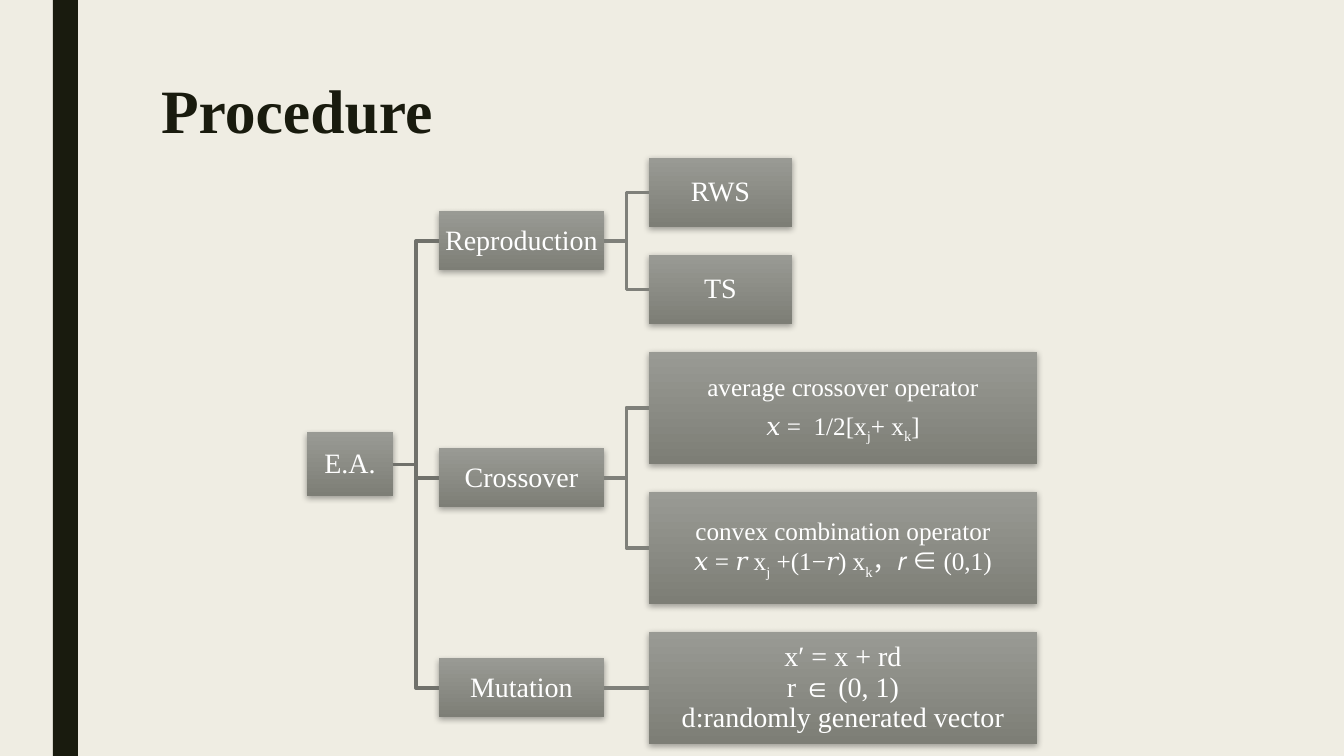
"""Build the Procedure slide: a tree of evolutionary algorithm operators."""
from dataclasses import dataclass

from lxml.etree import SubElement
from pptx import Presentation
from pptx.dml.color import RGBColor as RGB
from pptx.enum.shapes import MSO_CONNECTOR as CONN, MSO_SHAPE as SHAPE
from pptx.enum.text import MSO_ANCHOR as ANCHOR, MSO_AUTO_SIZE as AUTO, PP_ALIGN as ALIGN
from pptx.oxml.ns import qn
from pptx.shapes.autoshape import Shape
from pptx.slide import Slide
from pptx.text.text import Font, TextFrame
from pptx.util import Emu, Pt

SLIDE_W, SLIDE_H = 1344, 756
SCALE = 12192000 / SLIDE_W
TREE_TOP, LEAF_GAP = 158, 28
COLUMN_LEFTS = (307, 439, 649)
RIGHT_SITE, LEFT_SITE = 3, 1


@dataclass(frozen=True)
class Theme:
    font: str = "Times New Roman"
    background: str = "EFEDE3"
    ink: str = "191B0E"
    text: str = "FFFFFF"
    box_top: str = "999A94"
    box_bottom: str = "7D7E76"
    links: tuple[str, ...] = ("70716B", "7F807A")
    link_width: float = 2.75
    title_size: int = 44
    node_size: int = 20
    formula_size: int = 18


@dataclass(frozen=True)
class Node:
    text: str
    width: int
    height: int
    size: int = Theme.node_size
    children: tuple["Node", ...] = ()


THEME = Theme()

TREE = Node("E.A.", 86, 64, children=(
    Node("Reproduction", 165, 59, children=(
        Node("RWS", 143, 69),
        Node("TS", 143, 69),
    )),
    Node("Crossover", 165, 59, children=(
        Node("average crossover operator\n𝑥 =  1/2[x_j_+ x_k_]", 388, 112, THEME.formula_size),
        Node("convex combination operator\v𝑥 = 𝑟 x_j_ +(1−𝑟) x_k_，𝑟 ∈ (0,1)",
             388, 112, THEME.formula_size),
    )),
    Node("Mutation", 165, 59, children=(
        Node("x′ = x + rd\vr ∈ (0, 1)\vd:randomly generated vector", 388, 112),
    )),
))


def px(n: float) -> Emu:
    return Emu(round(n * SCALE))


def style_font(font: Font, size: int, color: str, bold: bool = False) -> None:
    font.name, font.size, font.bold = THEME.font, Pt(size), bold
    font.color.rgb = RGB.from_string(color)


def add_rect(s: Slide, left: float, top: float, width: int, height: int) -> Shape:
    sp = s.shapes.add_shape(SHAPE.RECTANGLE, px(left), px(top), px(width), px(height))
    sp.line.fill.background()
    sp.shadow.inherit = False
    return sp


def add_shadow(sp: Shape) -> None:
    effects = sp._element.spPr.find(qn("a:effectLst"))
    shadow = SubElement(effects, qn("a:outerShdw"), blurRad=str(Pt(4.5)), dist=str(Pt(1.5)),
                        dir="5400000", algn="ctr", rotWithShape="0")
    black = SubElement(shadow, qn("a:srgbClr"), val="000000")
    SubElement(black, qn("a:alpha"), val="35000")


def write_text(tf: TextFrame, text: str, size: int) -> None:
    """Fill a frame; \\n parts paragraphs, \\v breaks lines, _x_ is a subscript."""
    tf.word_wrap, tf.vertical_anchor = True, ANCHOR.MIDDLE
    tf.margin_left = tf.margin_right = tf.margin_top = tf.margin_bottom = px(1)
    for i, paragraph in enumerate(text.split("\n")):
        p = tf.add_paragraph() if i else tf.paragraphs[0]
        p.alignment, p.line_spacing, p.space_after = ALIGN.CENTER, 0.9, Pt(size * 0.35)
        for j, line in enumerate(paragraph.split("\v")):
            if j:
                p.add_line_break()
            for k, piece in enumerate(line.split("_")):
                r = p.add_run()
                r.text = piece
                style_font(r.font, size, THEME.text)
                if k % 2:
                    r.font._element.set("baseline", "-25000")


def add_box(s: Slide, node: Node, left: int, middle: float) -> Shape:
    sp = add_rect(s, left, middle - node.height / 2, node.width, node.height)
    sp.fill.gradient()
    sp.fill.gradient_angle = 270
    for stop, color in zip(sp.fill.gradient_stops, (THEME.box_top, THEME.box_bottom)):
        stop.color.rgb = RGB.from_string(color)
    add_shadow(sp)
    write_text(sp.text_frame, node.text, node.size)
    return sp


def add_link(s: Slide, parent: Shape, child: Shape, kind: CONN, color: str) -> None:
    link = s.shapes.add_connector(kind, 0, 0, 0, 0)
    link.begin_connect(parent, RIGHT_SITE)
    link.end_connect(child, LEFT_SITE)
    link.line.color.rgb = RGB.from_string(color)
    link.line.width = Pt(THEME.link_width)
    SubElement(link._element.spPr, qn("a:effectLst"))


def add_tree(s: Slide, node: Node, top: int, level: int = 0) -> tuple[Shape, float, int]:
    """Draw a branch; return its box, its middle and the top of the next leaf."""
    left = COLUMN_LEFTS[level]
    if not node.children:
        middle = top + node.height / 2
        return add_box(s, node, left, middle), middle, top + node.height + LEAF_GAP
    branches = []
    for child in node.children:
        box, child_middle, top = add_tree(s, child, top, level + 1)
        branches.append((box, child_middle))
    middle = (branches[0][1] + branches[-1][1]) / 2
    sp = add_box(s, node, left, middle)
    for box, child_middle in branches:
        kind = CONN.STRAIGHT if child_middle == middle else CONN.ELBOW
        add_link(s, sp, box, kind, THEME.links[level])
    return sp, middle, top


def add_title(s: Slide, text: str) -> None:
    title = s.shapes.title
    title.left, title.top, title.width, title.height = px(151), px(76), px(1058), px(163)
    tf = title.text_frame
    tf.text = text
    tf.auto_size, tf.vertical_anchor = AUTO.NONE, ANCHOR.TOP
    p = tf.paragraphs[0]
    p.alignment, p.line_spacing = ALIGN.LEFT, 0.89
    style_font(p.runs[0].font, THEME.title_size, THEME.ink, bold=True)


def main() -> None:
    prs = Presentation()
    prs.slide_width, prs.slide_height = px(SLIDE_W), px(SLIDE_H)
    s = prs.slides.add_slide(prs.slide_layouts[5])
    s.background.fill.solid()
    s.background.fill.fore_color.rgb = RGB.from_string(THEME.background)
    bar = add_rect(s, 53, 0, 25, SLIDE_H)
    bar.fill.solid()
    bar.fill.fore_color.rgb = RGB.from_string(THEME.ink)
    add_title(s, "Procedure")
    add_tree(s, TREE, TREE_TOP)
    prs.save("out.pptx")


if __name__ == "__main__":
    main()
